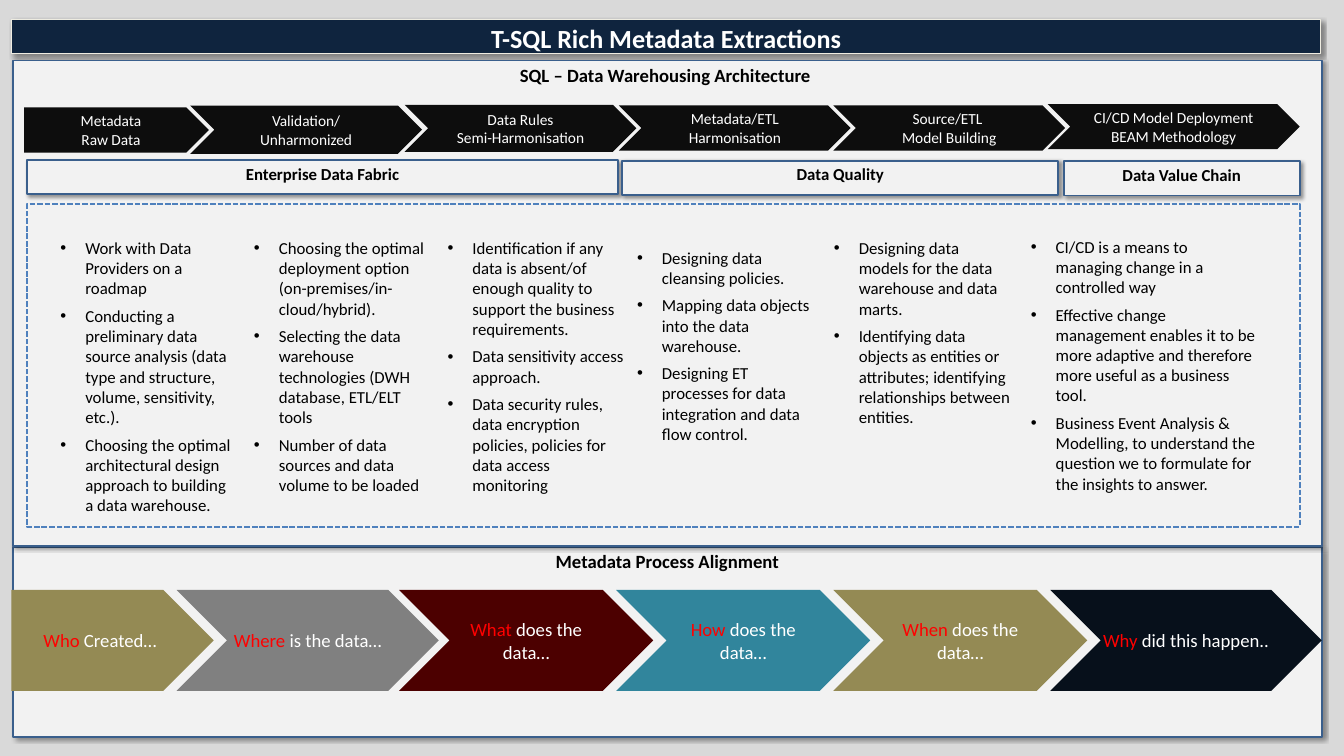
from dataclasses import dataclass
from lxml import etree
from pptx import Presentation
from pptx import util as u
from pptx.dml.color import RGBColor
from pptx.enum import dml, shapes, text
from pptx.oxml import ns


@dataclass(frozen=True)
class Theme:
    font: str = "Calibri"
    page: str = "D9D9D9"
    panel: str = "F2F2F2"
    edge: str = "3A5F8C"
    dash: str = "4F81BD"
    navy: str = "0F243E"
    cream: str = "EEECE1"
    stage: str = "0D0D0D"
    ink: str = "000000"
    white: str = "FFFFFF"
    accent: str = "FF0000"
    title_size: float = 28
    heading_size: float = 20
    body_size: float = 18
    stage_size: float = 16.5


THEME = Theme()
WIDTH, HEIGHT = 20, 11.25
TITLE = "T-SQL Rich Metadata Extractions"

PANELS = [
    ("Metadata Process Alignment", 8.14, 2.83),
    ("SQL – Data Warehousing Architecture ", 0.9, 7.22),
]
STAGES = [
    (("Metadata", "Raw Data"), 1.6, 2.75, 0.67),
    (("Validation/", "Unharmonized"), 1.57, 3.45, 0.72),
    (("Data Rules", "Semi-Harmonisation"), 1.56, 3.45, 0.7),
    (("Metadata/ETL", "Harmonisation"), 1.57, 3.45, 0.67),
    (("Source/ETL ", "Model Building"), 1.57, 3.45, 0.67),
    (("CI/CD Model Deployment", "BEAM Methodology"), 1.55, 3.75, 0.67),
]
BANDS = [
    ("Enterprise Data Fabric", 0.4, 2.38, 8.8),
    ("Data Quality", 9.26, 2.39, 6.49),
    ("Data Value Chain", 15.83, 2.4, 3.51),
]
COLUMNS = [
    (3.34, 3.04, [
        "Work with Data Providers on a roadmap",
        "Conducting a preliminary data source analysis (data type and structure, "
        "volume, sensitivity, etc.).",
        "Choosing the optimal architectural design approach to building a data warehouse.",
    ]),
    (3.34, 3.04, [
        "Choosing the optimal deployment option (on-premises/in-cloud/hybrid).",
        "Selecting the data warehouse technologies (DWH database, ETL/ELT tools",
        "Number of data sources and data volume to be loaded",
    ]),
    (3.34, 3.04, [
        "Identification if any data is absent/of enough quality to support "
        "the business requirements.",
        "Data sensitivity access approach.",
        "Data security rules, data encryption policies, policies for data access monitoring",
    ]),
    (3.48, 3.04, [
        "Designing data cleansing policies.",
        "Mapping data objects into the data warehouse.",
        "Designing ET processes for data integration and data flow control.",
    ]),
    (3.34, 3.04, [
        "Designing data models for the data warehouse and data marts.",
        "Identifying data objects as entities or attributes; identifying "
        "relationships between entities.",
    ]),
    (3.32, 3.76, [
        "CI/CD is a means to managing change in a controlled way",
        "Effective change management enables it to be more adaptive and therefore "
        "more useful as a business tool.",
        "Business Event Analysis & Modelling, to understand the question we to "
        "formulate for the insights to answer.",
    ]),
]
QUESTIONS = [
    ("Who", " Created…", 3.01, "948A54"),
    ("Where", " is the data…", 3.9, "808080"),
    ("What", " does the data…", 3.78, "4C0000"),
    ("How", " does the data…", 3.78, "31859C"),
    ("When ", "does the data…", 3.78, "948A54"),
    ("Why ", "did this happen..", 4.04, "07101B"),
]

STAGE_LEFTS = [0.36] + [2.83 + 3.19 * i for i in range(5)]
COLUMN_LEFTS = [0.7 + 2.88 * i for i in range(3)] + [9.28 + 2.93 * i for i in range(3)]
QUESTION_LEFTS = [0.17, 2.63] + [5.94 + 3.23 * i for i in range(4)]


def rgb(code):
    return RGBColor.from_string(code)


def inches(*lengths):
    return [u.Inches(length) for length in lengths]


def add_span(para, words, size, color, bold=False):
    span = para.add_run()
    span.text = words
    span.font.name = THEME.font
    span.font.size = u.Pt(size)
    span.font.bold = bold
    span.font.color.rgb = rgb(color)


def add_paras(frame, rows):
    for index, spans in enumerate(rows):
        para = frame.paragraphs[0] if index == 0 else frame.add_paragraph()
        para.alignment = text.PP_ALIGN.CENTER
        for span in spans:
            add_span(para, *span)


def add_shadow(shape):
    effects = shape._element.spPr.find(ns.qn("a:effectLst"))
    outer = etree.SubElement(effects, ns.qn("a:outerShdw"), blurRad=str(u.Pt(4)),
                             dist=str(u.Pt(3)), dir="2700000", algn="tl", rotWithShape="0")
    color = etree.SubElement(outer, ns.qn("a:srgbClr"), val=THEME.ink)
    etree.SubElement(color, ns.qn("a:alpha"), val="40000")


def add_box(page, kind, area, fill, rows=(), line=None, weight=2, shadow=False):
    box = page.shapes.add_shape(kind, *inches(*area))
    box.shadow.inherit = False
    box.fill.solid()
    box.fill.fore_color.rgb = rgb(fill)
    if line:
        box.line.color.rgb = rgb(line)
        box.line.width = u.Pt(weight)
    else:
        box.line.fill.background()
    if shadow:
        add_shadow(box)
    box.text_frame.vertical_anchor = text.MSO_ANCHOR.TOP
    add_paras(box.text_frame, rows)
    return box


def add_panel(page, area, label, size):
    add_box(page, shapes.MSO_SHAPE.RECTANGLE, area, THEME.panel,
            [[(label, size, THEME.ink, True)]], THEME.edge, shadow=True)


def add_arrow(page, index, area, fill, rows):
    kind = shapes.MSO_SHAPE.CHEVRON if index else shapes.MSO_SHAPE.PENTAGON
    frame = add_box(page, kind, area, fill, rows).text_frame
    frame.vertical_anchor = text.MSO_ANCHOR.MIDDLE
    frame.margin_left = frame.margin_right = 0


def add_bullets(page, area, items):
    frame = page.shapes.add_textbox(*inches(*area)).text_frame
    frame.word_wrap = True
    frame.margin_left = frame.margin_right = u.Inches(0.2)
    frame.margin_top = frame.margin_bottom = u.Inches(0.2)
    add_paras(frame, [[(item, THEME.body_size, THEME.ink)] for item in items])
    indent = u.Inches(0.37)
    for para in frame.paragraphs:
        para.alignment = text.PP_ALIGN.LEFT
        para.space_before = para.space_after = u.Pt(4)
        props = para._p.get_or_add_pPr()
        props.set("marL", str(indent))
        props.set("indent", str(-indent))
        etree.SubElement(props, ns.qn("a:buFont"), typeface="Arial")
        etree.SubElement(props, ns.qn("a:buChar"), char="•")


def main():
    deck = Presentation()
    deck.slide_width, deck.slide_height = inches(WIDTH, HEIGHT)
    page = deck.slides.add_slide(deck.slide_layouts[6])
    page.background.fill.solid()
    page.background.fill.fore_color.rgb = rgb(THEME.page)

    for label, top, height in PANELS:
        add_panel(page, (0.19, top, 19.48, height), label, THEME.heading_size)
    frame = add_box(page, shapes.MSO_SHAPE.RECTANGLE, (0.4, 3.04, 18.94, 4.8),
                    THEME.panel, line=THEME.dash)
    frame.line.dash_style = dml.MSO_LINE.SQUARE_DOT
    for left, (top, width, items) in zip(COLUMN_LEFTS, COLUMNS):
        add_bullets(page, (left, top, width, 4.6), items)
    for index, (words, top, width, height) in enumerate(STAGES):
        rows = [[(word, THEME.stage_size, THEME.white)] for word in words]
        add_arrow(page, index, (STAGE_LEFTS[index], top, width, height), THEME.stage, rows)
    for label, left, top, width in BANDS:
        add_panel(page, (left, top, width, 0.51), label, THEME.body_size)
    for index, (asked, rest, width, fill) in enumerate(QUESTIONS):
        spans = [(asked, THEME.heading_size, THEME.accent),
                 (rest, THEME.heading_size, THEME.white)]
        add_arrow(page, index, (QUESTION_LEFTS[index], 8.78, width, 1.5), fill, [spans])
    add_box(page, shapes.MSO_SHAPE.RECTANGLE, (0.17, 0.29, 19.48, 0.5), THEME.navy,
            [[(TITLE, THEME.title_size, THEME.white, True)]], THEME.cream, 1, True)
    deck.save("out.pptx")


if __name__ == "__main__":
    main()
